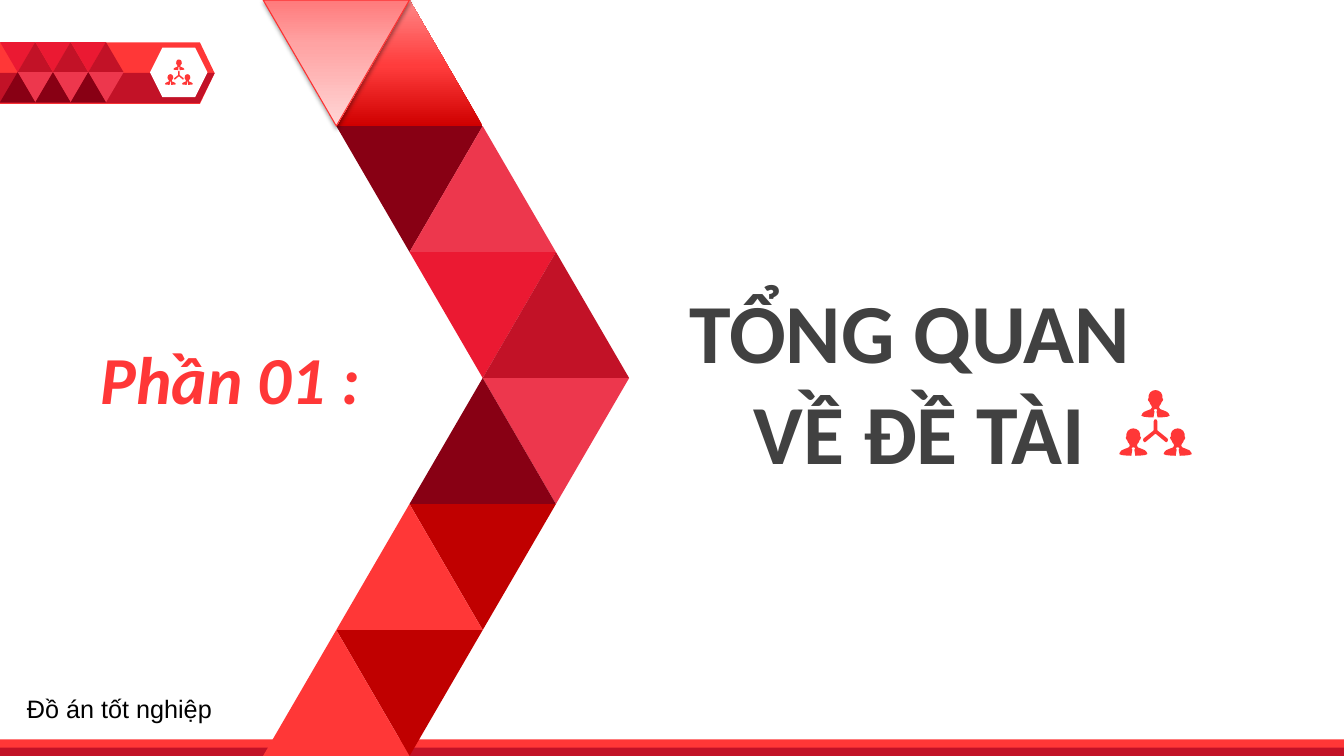
from dataclasses import dataclass

from lxml import etree
from pptx import Presentation
from pptx.dml.color import RGBColor
from pptx.enum.shapes import MSO_SHAPE
from pptx.enum.text import MSO_AUTO_SIZE, PP_ALIGN
from pptx.oxml.ns import qn
from pptx.shapes.autoshape import Shape
from pptx.slide import Slide
from pptx.util import Cm, Pt

TRIANGLE, RECTANGLE = MSO_SHAPE.ISOSCELES_TRIANGLE, MSO_SHAPE.RECTANGLE
PENTAGON, HEXAGON = MSO_SHAPE.PENTAGON, MSO_SHAPE.HEXAGON
LEFT, CENTER = PP_ALIGN.LEFT, PP_ALIGN.CENTER
FIT_SHAPE, FIXED_SIZE = MSO_AUTO_SIZE.SHAPE_TO_FIT_TEXT, MSO_AUTO_SIZE.NONE

COLORS = {
    "coral": "FF3737", "crimson": "C21227", "scarlet": "EB1932",
    "rose": "ED374D", "maroon": "880014", "red": "C00000",
    "outline": "FD3030", "white": "FFFFFF", "gray": "414141", "black": "000000",
}
DEEP_GRADIENT = ((0, "CF0000"), (48, "FF3C3C"), (100, "FF8787"))
PALE_GRADIENT = ((0, "FF7A7B"), (35, "FFA3A3"), (100, "FFD6D6"))

# Right halves of symmetric icon outlines, in thousandths of an inch
PERSON = ((0, 0), (28, 6), (55, 25), (68, 55), (68, 80), (75, 90), (72, 105),
          (60, 120), (54, 137), (40, 155), (36, 175), (48, 190), (80, 202),
          (115, 217), (132, 235), (140, 255), (115, 265), (70, 270), (20, 272),
          (10, 212), (18, 200), (10, 190), (0, 188))
HUB = ((0, 290), (12, 295), (18, 310), (18, 400), (118, 480), (124, 495),
       (118, 510), (106, 518), (96, 512), (0, 432))
ICON_PARTS = ((PERSON, 0, 0), (PERSON, -220, 380), (PERSON, 220, 380), (HUB, 0, 0))
ICON_UNIT = 0.00254


@dataclass
class Lattice:
    """Triangles placed on half-width columns; lengths in centimetres."""
    left: float
    top: float
    width: float
    height: float


@dataclass
class Cell:
    column: int
    row: int
    up: bool
    color: str


@dataclass
class Label:
    lines: tuple[str, ...]
    box: tuple[float, float, float, float]
    size: int
    font: str
    color: str
    bold: bool = False
    italic: bool = False
    align: PP_ALIGN = LEFT
    fit: MSO_AUTO_SIZE = FIT_SHAPE


HEADER = Lattice(0, 1.06, 0.89, 0.76)
HEADER_CELLS = [
    cell
    for column in (0, 2, 4)
    for cell in (
        Cell(column, 0, False, "scarlet"), Cell(column + 1, 0, True, "crimson"),
        Cell(column + 1, 1, False, "rose"), Cell(column, 1, True, "maroon"),
    )
]
CHEVRON = Lattice(6.63, 0, 3.69, 3.175)
CHEVRON_CELLS = [
    Cell(1, 1, False, "maroon"), Cell(2, 1, True, "rose"),
    Cell(2, 2, False, "scarlet"), Cell(3, 2, True, "crimson"),
    Cell(3, 3, False, "rose"), Cell(2, 3, True, "maroon"),
    Cell(2, 4, False, "red"), Cell(1, 4, True, "coral"),
    Cell(1, 5, False, "red"), Cell(0, 5, True, "coral"),
]
LABELS = [
    Label(("Phần 01 :",), (2.29, 8.38, 10.46, 2.29), 48, "Calibri", "coral",
          bold=True, italic=True),
    Label(("TỔNG QUAN ", "VỀ ĐỀ TÀI"), (16.31, 6.93, 13.72, 5.38), 60, "Calibri",
          "gray", bold=True, align=CENTER),
    Label(("Đồ án tốt nghiệp",), (0.43, 17.35, 7.19, 1.02), 18, "Arial", "black",
          fit=FIXED_SIZE),
]


def paint(shape: Shape, color: str) -> None:
    shape.shadow.inherit = False
    shape.fill.solid()
    shape.fill.fore_color.rgb = RGBColor.from_string(COLORS[color])
    shape.line.fill.background()


def add_preset(slide: Slide, kind: MSO_SHAPE, box: tuple[float, ...], color: str) -> Shape:
    shape = slide.shapes.add_shape(kind, *(Cm(length) for length in box))
    paint(shape, color)
    return shape


def add_triangle(slide: Slide, lattice: Lattice, cell: Cell) -> Shape:
    left = lattice.left + cell.column * lattice.width / 2
    top = lattice.top + cell.row * lattice.height
    box = (left, top, lattice.width, lattice.height)
    triangle = add_preset(slide, TRIANGLE, box, cell.color)
    triangle.rotation = 0 if cell.up else 180
    return triangle


def apply_gradient(shape: Shape, stops: tuple[tuple[int, str], ...]) -> None:
    shape.fill.gradient()
    shape.fill.gradient_angle = 90
    stop_list = next(shape._element.iter(qn("a:gsLst")))
    for stop in list(stop_list):
        stop_list.remove(stop)
    for percent, color in stops:
        stop = etree.SubElement(stop_list, qn("a:gs"), pos=str(percent * 1000))
        etree.SubElement(stop, qn("a:srgbClr"), val=color)


def add_soft_shadow(shape: Shape) -> None:
    effects = next(shape._element.iter(qn("a:effectLst")))
    shadow = etree.SubElement(effects, qn("a:outerShdw"), blurRad="40000",
                              dist="20000", dir="5400000", rotWithShape="0")
    color = etree.SubElement(shadow, qn("a:srgbClr"), val=COLORS["black"])
    etree.SubElement(color, qn("a:alpha"), val="38000")


def add_team_icon(slide: Slide, center: float, top: float, scale: float) -> None:
    builder = None
    for half, across, down in ICON_PARTS:
        mirrored = [(-x, y) for x, y in reversed(half)]
        points = [(x + across, y + down) for x, y in (*half, *mirrored)]
        if builder is None:
            builder = slide.shapes.build_freeform(*points[0], scale=Cm(1) * ICON_UNIT * scale)
        else:
            builder.move_to(*points[0])
        builder.add_line_segments(points[1:], close=True)
    paint(builder.convert_to_shape(Cm(center), Cm(top)), "coral")


def add_label(slide: Slide, label: Label) -> None:
    shape = slide.shapes.add_textbox(*(Cm(length) for length in label.box))
    frame = shape.text_frame
    frame.word_wrap = True
    frame.auto_size = label.fit
    frame.text = "\n".join(label.lines)
    for paragraph in frame.paragraphs:
        paragraph.alignment = label.align
        for run in paragraph.runs:
            run.font.size = Pt(label.size)
            run.font.name = label.font
            run.font.bold = label.bold
            run.font.italic = label.italic
            run.font.color.rgb = RGBColor.from_string(COLORS[label.color])


def add_header(slide: Slide) -> None:
    banner = add_preset(slide, PENTAGON, (0, 1.07, 5.41, 1.55), "coral")
    banner.adjustments[0] = 0.239
    corners = [(0, 1.84), (5.41, 1.84), (5.03, 2.6), (0, 2.6)]
    points = [(Cm(x), Cm(y)) for x, y in corners]
    builder = slide.shapes.build_freeform(*points[0])
    builder.add_line_segments(points[1:], close=True)
    paint(builder.convert_to_shape(), "crimson")
    add_preset(slide, HEXAGON, (3.78, 1.2, 1.45, 1.25), "white")
    add_team_icon(slide, 4.51, 1.5, 0.385)
    for cell in HEADER_CELLS:
        add_triangle(slide, HEADER, cell)


def add_chevron(slide: Slide) -> None:
    deep = add_triangle(slide, CHEVRON, Cell(1, 0, True, "red"))
    apply_gradient(deep, DEEP_GRADIENT)
    for cell in CHEVRON_CELLS:
        add_triangle(slide, CHEVRON, cell)
    pale = add_triangle(slide, CHEVRON, Cell(0, 0, False, "rose"))
    apply_gradient(pale, PALE_GRADIENT)
    pale.line.color.rgb = RGBColor.from_string(COLORS["outline"])
    pale.line.width = Pt(0.75)
    add_soft_shadow(pale)


def main() -> None:
    presentation = Presentation()
    presentation.slide_width, presentation.slide_height = Cm(33.87), Cm(19.05)
    slide = presentation.slides.add_slide(presentation.slide_layouts[6])
    add_header(slide)
    # Footer bars
    add_preset(slide, RECTANGLE, (0, 18.63, 33.87, 0.42), "coral")
    add_preset(slide, RECTANGLE, (0, 18.84, 33.87, 0.21), "crimson")
    add_chevron(slide)
    # Texts and large icon
    for label in LABELS:
        add_label(slide, label)
    add_team_icon(slide, 29.12, 9.83, 1)
    presentation.save("out.pptx")


if __name__ == "__main__":
    main()
